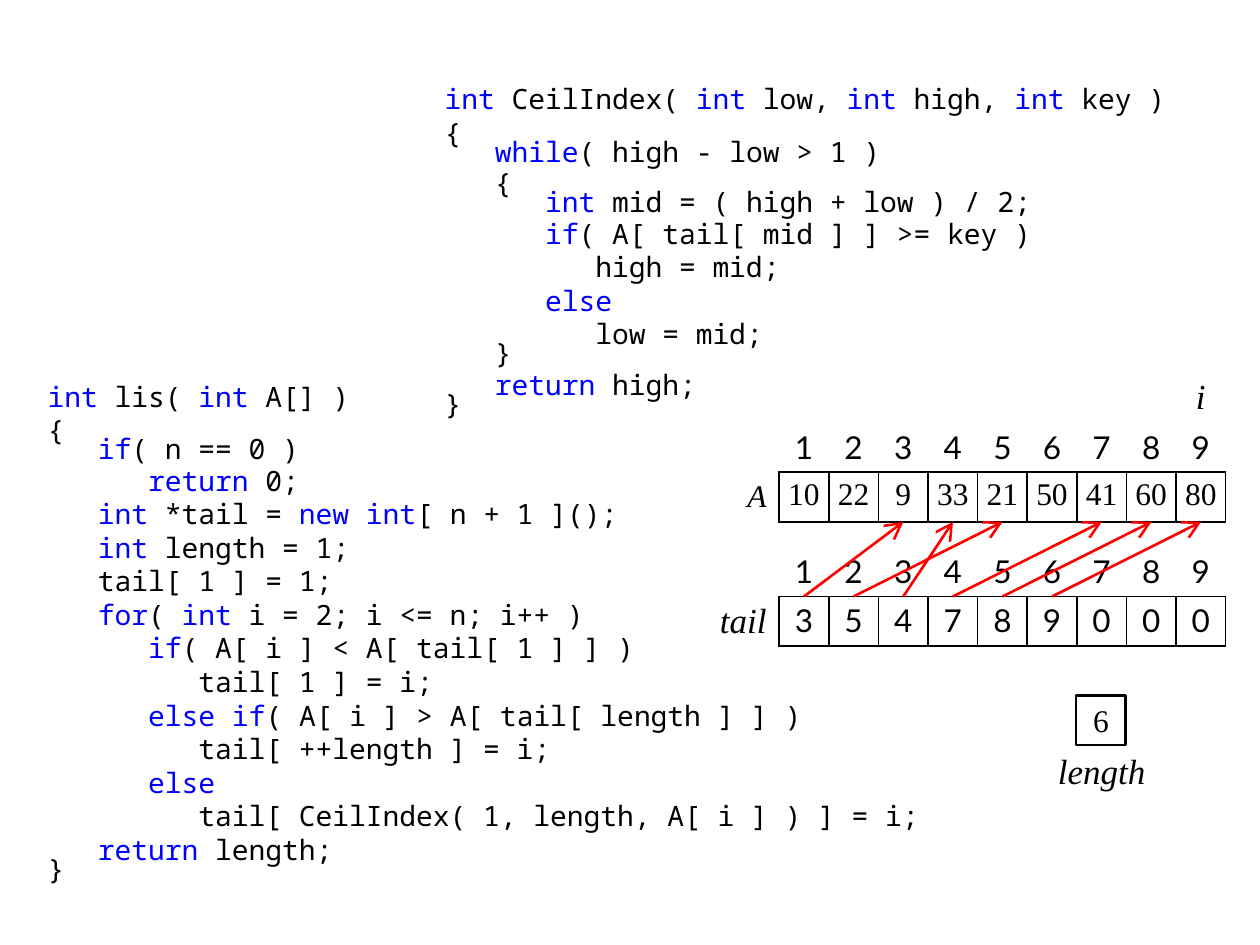
from dataclasses import dataclass

import pptx
import pptx.dml.color
import pptx.enum.shapes
import pptx.enum.text
import pptx.oxml
import pptx.oxml.ns
import pptx.presentation
import pptx.shapes.autoshape
import pptx.slide
import pptx.table
import pptx.util
from pptx.util import Inches

BLACK = pptx.dml.color.RGBColor(0x00, 0x00, 0x00)
WHITE = pptx.dml.color.RGBColor(0xFF, 0xFF, 0xFF)
BLUE = pptx.dml.color.RGBColor(0x00, 0x00, 0xFF)
RED = pptx.dml.color.RGBColor(0xFF, 0x00, 0x00)

CODE_FONT = "Noto Sans Mono"
INDEX_FONT = "Lato"
SERIF_FONT = "Times New Roman"

PLAIN_TABLE_STYLE = "{2D5ABB26-0587-4C30-8999-92F81FD0307C}"
CELL = Inches(3.94) // 10
GRID_LEFT = Inches(5.79) + CELL
ARRAY_TOP = Inches(2.96)
TAIL_TOP = Inches(4.34)
KEYWORD_MARK = "|"

ARRAY_VALUES = [10, 22, 9, 33, 21, 50, 41, 60, 80]
TAIL_VALUES = [3, 5, 4, 7, 8, 9, 0, 0, 0]
INDICES = range(1, 10)

CENTER = pptx.enum.text.PP_ALIGN.CENTER
RIGHT = pptx.enum.text.PP_ALIGN.RIGHT
MIDDLE = pptx.enum.text.MSO_ANCHOR.MIDDLE
TOP = pptx.enum.text.MSO_ANCHOR.TOP


@dataclass(frozen=True)
class CodeBlock:
    left: float
    top: float
    width: float
    height: float
    right_inset: float
    tight_lines: tuple[int, ...]
    source: str


@dataclass(frozen=True)
class TextStyle:
    font: str
    size: int = 18
    italic: bool = False
    color: pptx.dml.color.RGBColor = BLACK


INDEX_STYLE = TextStyle(INDEX_FONT)
SERIF_STYLE = TextStyle(SERIF_FONT)
NAME_STYLE = TextStyle(SERIF_FONT, 18, True)
LARGE_NAME_STYLE = TextStyle(SERIF_FONT, 20, True)

CODE_BLOCKS = [
    CodeBlock(3.43, 0.6, 5.91, 2.76, 0.04, (2, 4, 9, 11), """\
|int |CeilIndex( |int| low, |int| high, |int| key )
{
   |while|( high - low > 1 )
   {
      |int| mid = ( high + low ) / 2;
      |if|( A[ tail[ mid ] ] >= key )
         high = mid;
      |else|
         low = mid;
   }
   |return| high;
}"""),
    CodeBlock(0.28, 2.96, 7.28, 4.13, 0.1, (2, 15), """\
|int |lis( |int| A[] )
{
   |if|( n == 0 )
      |return| 0;
   |int| *tail = |new int|[ n + 1 ]();
   |int| length = 1;
   tail[ 1 ] = 1;
   |for|( |int| i = 2; i <= n; i++ )
      |if|( A[ i ] < A[ tail[ 1 ] ] )
         tail[ 1 ] = i;
      |else if|( A[ i ] > A[ tail[ length ] ] )
         tail[ ++length ] = i;
      |else|
         tail[ CeilIndex( 1, length, A[ i ] ) ] = i;
   |return| length;
}"""),
]


def add_run(paragraph, text: str, style: TextStyle) -> None:
    run = paragraph.add_run()
    run.text = text
    run.font.name = style.font
    run.font.size = pptx.util.Pt(style.size)
    run.font.italic = style.italic
    run.font.color.rgb = style.color


def add_code(slide: pptx.slide.Slide, block: CodeBlock) -> None:
    box = slide.shapes.add_textbox(
        Inches(block.left), Inches(block.top), Inches(block.width), Inches(block.height))
    frame = box.text_frame
    frame.word_wrap = True
    frame.margin_right = Inches(block.right_inset)
    for number, line in enumerate(block.source.split("\n")):
        paragraph = frame.add_paragraph() if number else frame.paragraphs[0]
        paragraph.line_spacing = 0.5 if number in block.tight_lines else 1.0
        for position, text in enumerate(line.split(KEYWORD_MARK)):
            if text:
                color = BLUE if position % 2 else BLACK
                add_run(paragraph, text, TextStyle(CODE_FONT, 16, color=color))


def add_grid(slide: pptx.slide.Slide, top: int, rows: int, label_width: int) -> pptx.table.Table:
    frame = slide.shapes.add_table(
        rows, 10, GRID_LEFT - label_width, top, label_width + 9 * CELL, rows * CELL)
    table = frame.table
    table.first_row = table.horz_banding = False
    style = table._tbl.tblPr.find(pptx.oxml.ns.qn("a:tableStyleId"))
    style.text = PLAIN_TABLE_STYLE
    for row in table.rows:
        row.height = CELL
    for number, column in enumerate(table.columns):
        column.width = CELL if number else label_width
    for cell in table.iter_cells():
        cell.fill.background()
        cell.margin_left = cell.margin_right = 0
        cell.margin_top = cell.margin_bottom = 0
    return table


def fill_cell(cell, text: str, style: TextStyle, borders: str = "", align=CENTER,
              anchor=MIDDLE, side_inset: float = 0, end_inset: float = 0.04) -> None:
    cell.vertical_anchor = anchor
    cell.margin_left = cell.margin_right = Inches(side_inset)
    cell.margin_top = cell.margin_bottom = Inches(end_inset)
    paragraph = cell.text_frame.paragraphs[0]
    paragraph.alignment = align
    add_run(paragraph, text, style)
    properties = cell._tc.get_or_add_tcPr()
    for position, side in enumerate(borders):
        properties.insert(position, pptx.oxml.parse_xml(
            f'<a:ln{side} {pptx.oxml.ns.nsdecls("a")} w="12700"><a:solidFill>'
            f'<a:srgbClr val="{BLACK}"/></a:solidFill></a:ln{side}>'))


def fill_array(table: pptx.table.Table, header_row: int, values: list[int],
               style: TextStyle) -> None:
    for index, value in zip(INDICES, values):
        fill_cell(table.cell(header_row, index), str(index), INDEX_STYLE, "B")
        fill_cell(table.cell(header_row + 1, index), str(value), style, "LRTB", anchor=TOP)


def add_arrow(slide: pptx.slide.Slide, start: int, end: int) -> None:
    start_x, end_x = (GRID_LEFT + CELL * (2 * index - 1) // 2 for index in (start, end))
    connector = slide.shapes.add_connector(
        pptx.enum.shapes.MSO_CONNECTOR.STRAIGHT,
        start_x, TAIL_TOP + CELL, end_x, ARRAY_TOP + 3 * CELL)
    connector.line.color.rgb = RED
    connector.line.width = pptx.util.Pt(1.5)
    namespace = pptx.oxml.ns.nsdecls("a")
    connector.line._get_or_add_ln().append(
        pptx.oxml.parse_xml(f'<a:tailEnd {namespace} type="arrow" w="lg" len="lg"/>'))
    connector._element.spPr.append(pptx.oxml.parse_xml(f"<a:effectLst {namespace}/>"))


def center_text(shape: pptx.shapes.autoshape.Shape, text: str, style: TextStyle) -> None:
    frame = shape.text_frame
    frame.word_wrap = False
    frame.margin_left = frame.margin_right = 0
    frame.vertical_anchor = MIDDLE
    frame.paragraphs[0].alignment = CENTER
    add_run(frame.paragraphs[0], text, style)


def add_length(slide: pptx.slide.Slide) -> None:
    label = slide.shapes.add_textbox(Inches(8.35), Inches(5.92), 2 * CELL, CELL)
    center_text(label, "length", LARGE_NAME_STYLE)
    box = slide.shapes.add_shape(
        pptx.enum.shapes.MSO_SHAPE.RECTANGLE, Inches(8.54), Inches(5.52), CELL, CELL)
    box.shadow.inherit = False
    box.fill.solid()
    box.fill.fore_color.rgb = WHITE
    box.line.color.rgb = BLACK
    box.line.width = pptx.util.Pt(1.5)
    center_text(box, "6", SERIF_STYLE)


def main() -> None:
    presentation = pptx.Presentation()
    presentation.slide_width = Inches(10)
    presentation.slide_height = Inches(7.5)
    slide = presentation.slides.add_slide(presentation.slide_layouts[6])
    for block in CODE_BLOCKS:
        add_code(slide, block)

    array = add_grid(slide, ARRAY_TOP, 3, CELL)
    fill_cell(array.cell(0, 9), "i", LARGE_NAME_STYLE, end_inset=0)
    fill_cell(array.cell(2, 0), "A", NAME_STYLE, "R", RIGHT, side_inset=0.1)
    fill_array(array, 1, ARRAY_VALUES, SERIF_STYLE)

    tail = add_grid(slide, TAIL_TOP, 2, Inches(0.59))
    fill_cell(tail.cell(1, 0), "tail", LARGE_NAME_STYLE, "R", RIGHT, side_inset=0.1, end_inset=0)
    fill_array(tail, 0, TAIL_VALUES, INDEX_STYLE)

    add_length(slide)
    for index, target in zip(INDICES, TAIL_VALUES):
        if target:
            add_arrow(slide, index, target)
    presentation.save("out.pptx")


if __name__ == "__main__":
    main()
